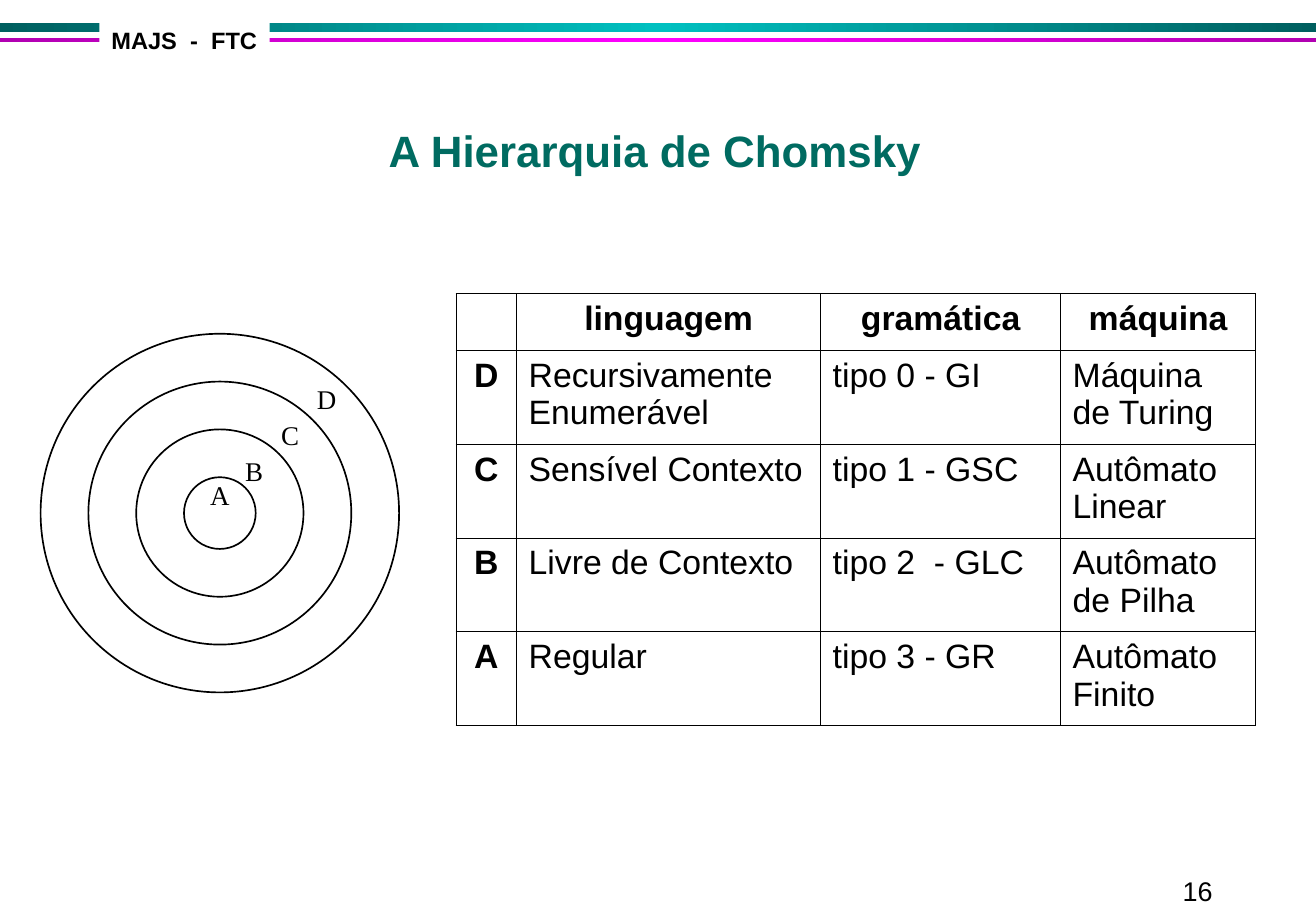
"""Build the slide on the Chomsky hierarchy."""
from copy import deepcopy
from dataclasses import dataclass

from lxml import etree
from pptx import Presentation
from pptx import util as u
from pptx.dml.color import RGBColor
from pptx.enum import shapes, text
from pptx.oxml import ns

BLACK, WHITE, TEAL = "000000", "FFFFFF", "006B61"
LEFT, CENTER, JUSTIFY = text.PP_ALIGN.LEFT, text.PP_ALIGN.CENTER, text.PP_ALIGN.JUSTIFY
INSET_X, INSET_Y = u.Cm(0.25), u.Cm(0.13)
CENTER_X, CENTER_Y = 4.6, 10.73
CORE_DIAMETER, RING_GROWTH, LABEL_STEP = 1.5, 2, 0.75
COLUMN_WIDTHS = [1.27, 6.36, 5.02, 4.08]
ROW_HEIGHTS = [1.19] + [1.96] * 4
HIERARCHY = [
    ("", "linguagem", "gramática", "máquina"),
    ("D", "Recursivamente Enumerável", "tipo 0 - GI", "Máquina de Turing"),
    ("C", "Sensível Contexto", "tipo 1 - GSC", "Autômato Linear"),
    ("B", "Livre de Contexto", "tipo 2  - GLC", "Autômato de Pilha"),
    ("A", "Regular", "tipo 3 - GR", "Autômato Finito"),
]


@dataclass(frozen=True)
class Box:
    left: float
    top: float
    width: float
    height: float

    def lengths(self) -> list[u.Length]:
        return [u.Cm(side) for side in (self.left, self.top, self.width, self.height)]


@dataclass(frozen=True)
class Style:
    size: float
    font: str = "Arial"
    color: str = BLACK
    bold: bool = False
    align: text.PP_ALIGN = LEFT
    space_before: float = 0


@dataclass(frozen=True)
class Band:
    box: Box
    edge: str
    middle: str


@dataclass(frozen=True)
class Label:
    wording: str
    box: Box
    style: Style
    inset_x: u.Length = INSET_X
    inset_y: u.Length = INSET_Y
    anchor: text.MSO_ANCHOR = text.MSO_ANCHOR.TOP
    wrap: bool = True
    fill: str = ""


def rgb(value: str) -> RGBColor:
    return RGBColor.from_string(value)


def write(frame, wording: str, style: Style) -> None:
    frame.text = wording
    paragraph = frame.paragraphs[0]
    paragraph.alignment = style.align
    paragraph.space_before = u.Pt(style.space_before)
    for run in paragraph.runs:
        run.font.name = style.font
        run.font.size = u.Pt(style.size)
        run.font.bold = style.bold
        run.font.color.rgb = rgb(style.color)


def draw_band(slide, band: Band) -> None:
    bar = slide.shapes.add_shape(shapes.MSO_SHAPE.RECTANGLE, *band.box.lengths())
    bar.shadow.inherit = False
    bar.line.fill.background()
    bar.fill.gradient()
    bar.fill.gradient_angle = 0
    stop_list = bar.fill._fill._gradFill.gsLst
    stop_list.append(deepcopy(stop_list[0]))
    colors = (band.edge, band.middle, band.edge)
    for index, (stop, color) in enumerate(zip(bar.fill.gradient_stops, colors)):
        stop.position = index / 2
        stop.color.rgb = rgb(color)


def draw_label(slide, label: Label) -> None:
    area = slide.shapes.add_textbox(*label.box.lengths())
    if label.fill:
        area.fill.solid()
        area.fill.fore_color.rgb = rgb(label.fill)
    frame = area.text_frame
    frame.word_wrap = label.wrap
    frame.vertical_anchor = label.anchor
    frame.margin_left = frame.margin_right = label.inset_x
    frame.margin_top = frame.margin_bottom = label.inset_y
    write(frame, label.wording, label.style)


def ring_box(level: int) -> Box:
    diameter = CORE_DIAMETER + RING_GROWTH * level
    return Box(CENTER_X - diameter / 2, CENTER_Y - diameter / 2, diameter, diameter)


def draw_rings(slide) -> None:
    for level in range(4):
        ring = slide.shapes.add_shape(shapes.MSO_SHAPE.OVAL, *ring_box(level).lengths())
        ring.shadow.inherit = False
        ring.fill.background()
        ring.line.color.rgb = rgb(BLACK)
        ring.line.width = u.Pt(1)
    tight = u.Cm(0.03)
    core_style = Style(16, "Times New Roman", align=CENTER, space_before=8)
    draw_label(slide, Label("A", ring_box(0), core_style, tight, tight))
    for level, letter in enumerate("BCD"):
        shift = LABEL_STEP * level
        box = Box(CENTER_X + 0.5 + shift, CENTER_Y - 1.25 - shift, 0.5, 0.75)
        draw_label(slide, Label(letter, box, Style(16, "Times New Roman"), tight, tight))


def border_cell(cell) -> None:
    properties = cell._tc.get_or_add_tcPr()
    for side in ("lnL", "lnR", "lnT", "lnB"):
        border = etree.SubElement(properties, ns.qn(f"a:{side}"), w=str(u.Pt(0.45)))
        paint = etree.SubElement(border, ns.qn("a:solidFill"))
        etree.SubElement(paint, ns.qn("a:srgbClr"), val=BLACK)


def draw_table(slide) -> None:
    box = Box(9.54, 6.14, sum(COLUMN_WIDTHS), sum(ROW_HEIGHTS))
    table = slide.shapes.add_table(
        len(ROW_HEIGHTS), len(COLUMN_WIDTHS), *box.lengths()
    ).table
    table.first_row = table.horz_banding = False
    for column, width in zip(table.columns, COLUMN_WIDTHS):
        column.width = u.Cm(width)
    for row, height in zip(table.rows, ROW_HEIGHTS):
        row.height = u.Cm(height)
    for row_index, entries in enumerate(HIERARCHY):
        for column_index, entry in enumerate(entries):
            cell = table.cell(row_index, column_index)
            heading = row_index == 0 or column_index == 0
            align = CENTER if heading else JUSTIFY
            style = Style(20, bold=heading, align=align, space_before=5)
            border_cell(cell)
            cell.fill.background()
            cell.margin_left = cell.margin_right = INSET_X
            cell.margin_top = cell.margin_bottom = INSET_Y
            write(cell.text_frame, entry, style)


def main() -> None:
    deck = Presentation()
    deck.slide_width, deck.slide_height = u.Cm(27.53), u.Cm(19.05)
    slide = deck.slides.add_slide(deck.slide_layouts[6])
    bands = [
        Band(Box(0, 0.48, 27.53, 0.2), "005F5F", "00C0C0"),
        Band(Box(0, 0.79, 27.53, 0.1), "B100B1", "FF00FF"),
    ]
    labels = [
        Label("16", Box(24.49, 18.16, 3, 0.89), Style(16)),
        Label("MAJS  -  FTC", Box(2.08, 0.41, 3.56, 0.84), Style(14, bold=True),
              wrap=False, fill=WHITE),
        Label("A Hierarquia de Chomsky", Box(2.01, 2.06, 23.39, 1.75),
              Style(26, color=TEAL, bold=True, align=CENTER),
              anchor=text.MSO_ANCHOR.BOTTOM),
    ]
    for band in bands:
        draw_band(slide, band)
    for label in labels:
        draw_label(slide, label)
    draw_rings(slide)
    draw_table(slide)
    deck.save("out.pptx")


if __name__ == "__main__":
    main()
